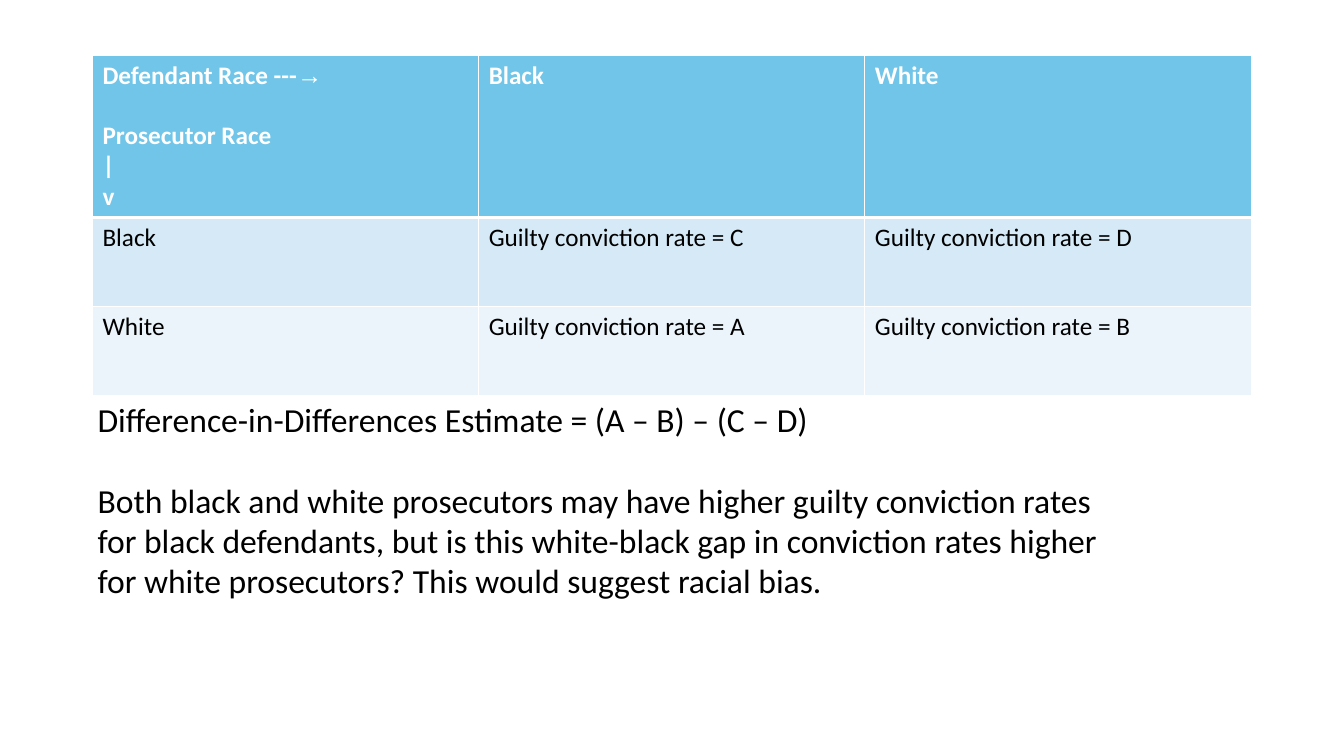
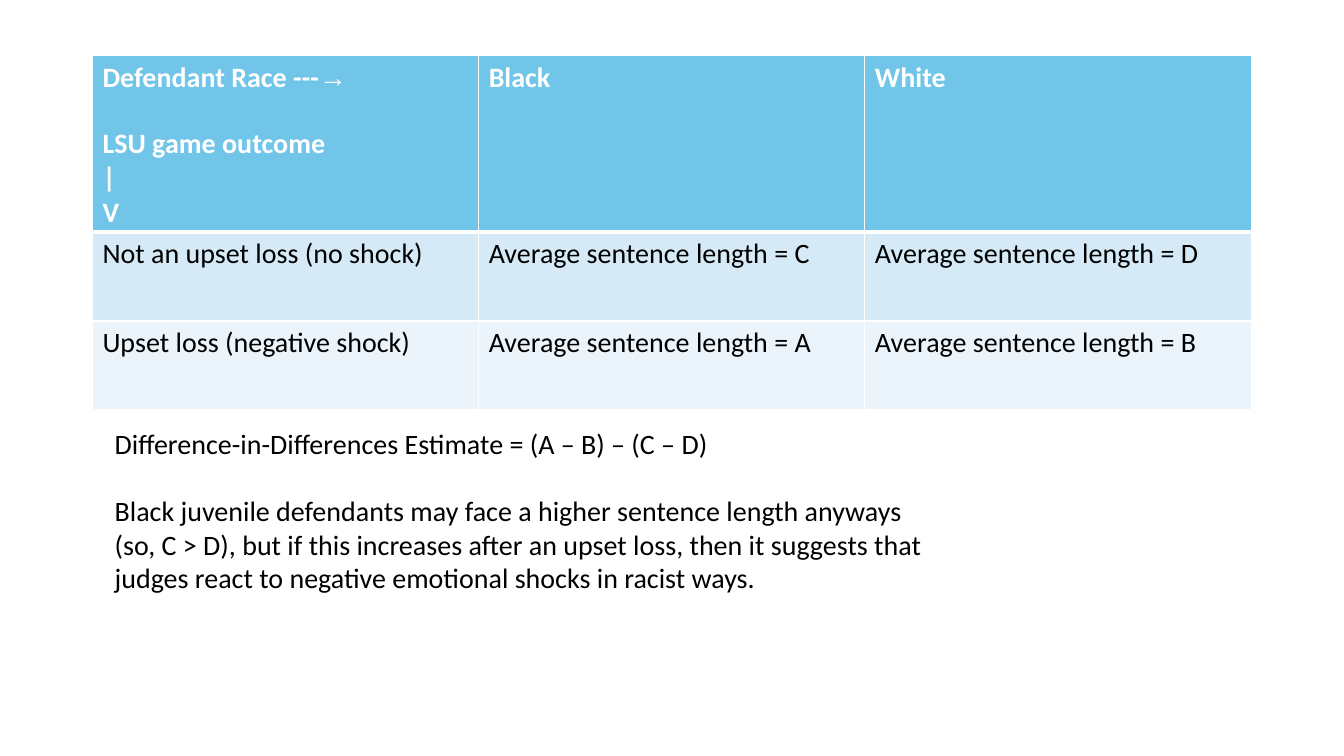
import dataclasses

import lxml.etree
import pptx
import pptx.dml.color
import pptx.enum.text
import pptx.oxml.ns
import pptx.util

Cm = pptx.util.Cm
Pt = pptx.util.Pt


@dataclasses.dataclass(frozen=True)
class Theme:
    font: str = "Calibri"
    arrow_font: str = "Arial"
    header_fill: str = "71C5E8"
    row_fills: tuple = ("D5EAF6", "EBF4FA")
    light: str = "FFFFFF"
    dark: str = "000000"
    thin_line: float = 0.96
    thick_line: float = 3
    small_size: int = 18
    medium_size: int = 20
    large_size: int = 24
    table_gap: float = 1.14  # extra space, as a share of the type size
    note_gap: float = 1.2


THEME = Theme()
TABLE_BOX = (2.33, 1.4, 29.2)  # left, top, width in cm
HEADER_HEIGHT = 2.97
ROW_HEIGHT = 2.24
ESTIMATE = "Difference-in-Differences Estimate = (A – B) – (C – D)"


def rgb(color):
    return pptx.dml.color.RGBColor.from_string(color)


def format_text(text_frame, size, color, bold=False):
    for paragraph in text_frame.paragraphs:
        for run in paragraph.runs:
            run.font.name = THEME.font
            run.font.size = Pt(size)
            run.font.bold = bold
            run.font.color.rgb = rgb(color)


def add_borders(cell, top, bottom):
    """Draw the four cell borders; top and bottom are widths in points."""
    properties = cell._tc.get_or_add_tcPr()
    thin = THEME.thin_line
    for side, width in (("L", thin), ("R", thin), ("T", top), ("B", bottom)):
        line = lxml.etree.SubElement(
            properties, pptx.oxml.ns.qn(f"a:ln{side}"), w=str(Pt(width)))
        fill = lxml.etree.SubElement(line, pptx.oxml.ns.qn("a:solidFill"))
        lxml.etree.SubElement(
            fill, pptx.oxml.ns.qn("a:srgbClr"), val=THEME.light)


def add_axis_labels(text_frame, size):
    """Finish the corner cell: an arrow on line one, a gap before line two."""
    first, second = text_frame.paragraphs[:2]
    arrow = first.add_run()
    arrow.text = "→"
    second.space_before = Pt(size * THEME.table_gap)
    format_text(text_frame, size, THEME.light, bold=True)
    arrow.font.name = THEME.arrow_font


def add_rate_table(slide, box, rows, size):
    left, top, width = box
    column_count = len(rows[0])
    height = HEADER_HEIGHT + ROW_HEIGHT * (len(rows) - 1)
    table = slide.shapes.add_table(
        len(rows), column_count,
        Cm(left), Cm(top), Cm(width), Cm(height)).table
    for column in table.columns:
        column.width = Cm(width / column_count)

    for row_index, texts in enumerate(rows):
        is_header = row_index == 0
        table.rows[row_index].height = Cm(
            HEADER_HEIGHT if is_header else ROW_HEIGHT)
        fill = (THEME.header_fill if is_header
                else THEME.row_fills[(row_index - 1) % 2])
        color = THEME.light if is_header else THEME.dark
        top_line = THEME.thick_line if row_index == 1 else THEME.thin_line
        bottom_line = THEME.thick_line if is_header else THEME.thin_line
        for column_index, text in enumerate(texts):
            cell = table.cell(row_index, column_index)
            add_borders(cell, top_line, bottom_line)
            cell.fill.solid()
            cell.fill.fore_color.rgb = rgb(fill)
            cell.text_frame.text = text
            format_text(cell.text_frame, size, color, bold=is_header)

    add_axis_labels(table.cell(0, 0).text_frame, size)


def add_note(slide, box, text, size):
    """Place the estimate formula with its explanation below it."""
    shape = slide.shapes.add_textbox(*(Cm(length) for length in box))
    text_frame = shape.text_frame
    text_frame.word_wrap = True
    text_frame.auto_size = pptx.enum.text.MSO_AUTO_SIZE.SHAPE_TO_FIT_TEXT
    text_frame.text = f"{ESTIMATE}\n{text}"
    text_frame.paragraphs[1].space_before = Pt(size * THEME.note_gap)
    format_text(text_frame, size, THEME.dark)


def add_estimate_slide(presentation, row_axis, row_names, measure,
                       table_size, note, note_box, note_size):
    slide = presentation.slides.add_slide(presentation.slide_layouts[6])
    # Table: the cells of each row carry the letters of the formula
    rows = [(f"Defendant Race ---\n{row_axis}", "Black", "White")]
    for name, letters in zip(row_names, ("CD", "AB")):
        rows.append((name, *(f"{measure} = {letter}" for letter in letters)))
    add_rate_table(slide, TABLE_BOX, rows, table_size)
    # Formula and explanation
    add_note(slide, note_box, note, note_size)


def main():
    presentation = pptx.Presentation()
    presentation.slide_width = Cm(33.87)
    presentation.slide_height = Cm(19.05)

    # Prosecutors
    add_estimate_slide(
        presentation,
        row_axis="Prosecutor Race\n|\nv",
        row_names=("Black", "White"),
        measure="Guilty conviction rate",
        table_size=THEME.small_size,
        note="Both black and white prosecutors may have higher guilty "
             "conviction rates for black defendants, but is this white-black "
             "gap in conviction rates higher for white prosecutors? This "
             "would suggest racial bias.",
        note_box=(2.21, 9.93, 26.06, 5.33),
        note_size=THEME.large_size)

    # Judges
    add_estimate_slide(
        presentation,
        row_axis="LSU game outcome\n|\nV",
        row_names=("Not an upset loss (no shock)",
                   "Upset loss (negative shock)"),
        measure="Average sentence length",
        table_size=THEME.medium_size,
        note="Black juvenile defendants may face a higher sentence length "
             "anyways (so, C > D), but if this increases after an upset "
             "loss, then it suggests that judges react to negative emotional "
             "shocks in racist ways.",
        note_box=(2.64, 10.62, 21, 4.5),
        note_size=THEME.medium_size)

    presentation.save("out.pptx")


if __name__ == "__main__":
    main()
